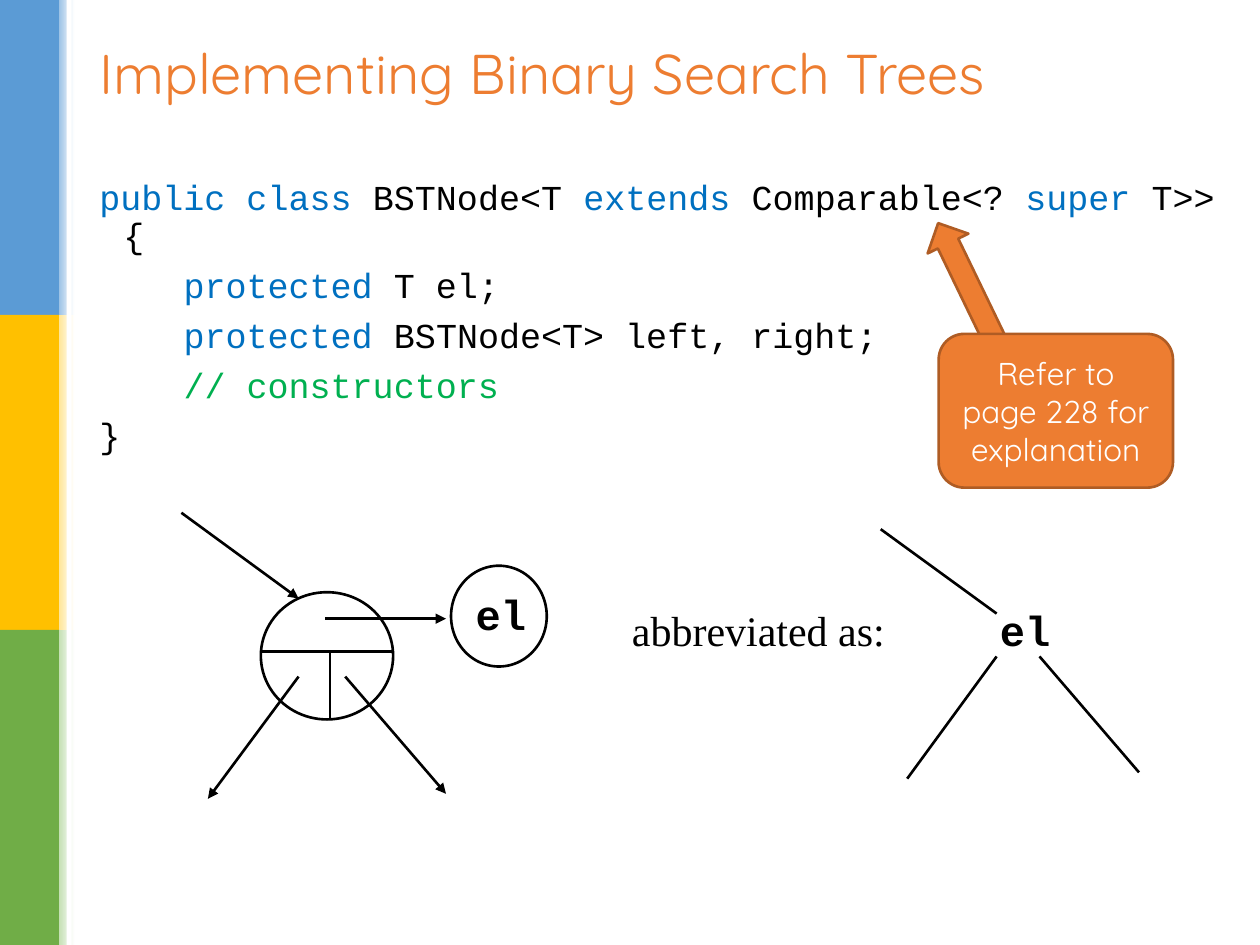
from dataclasses import dataclass

from lxml import etree
from pptx import Presentation
from pptx.dml.color import RGBColor
from pptx.enum.shapes import MSO_CONNECTOR, MSO_SHAPE
from pptx.enum.text import MSO_ANCHOR, PP_ALIGN
from pptx.oxml.ns import qn
from pptx.util import Inches, Pt

RECTANGLE, ELLIPSE = MSO_SHAPE.RECTANGLE, MSO_SHAPE.OVAL
DOWN_ARROW, ROUNDED = MSO_SHAPE.DOWN_ARROW, MSO_SHAPE.ROUNDED_RECTANGLE
STRAIGHT = MSO_CONNECTOR.STRAIGHT
LEFT, CENTER = PP_ALIGN.LEFT, PP_ALIGN.CENTER
TOP, MIDDLE = MSO_ANCHOR.TOP, MSO_ANCHOR.MIDDLE

BLACK, WHITE = RGBColor(0, 0, 0), RGBColor(255, 255, 255)
BLUE, LIGHT_BLUE = RGBColor(0x5B, 0x9B, 0xD5), RGBColor(0x9D, 0xC3, 0xE6)
GOLD, LIGHT_GOLD = RGBColor(0xFF, 0xC0, 0x00), RGBColor(0xFF, 0xE6, 0x99)
GREEN, LIGHT_GREEN = RGBColor(0x70, 0xAD, 0x47), RGBColor(0xC5, 0xE0, 0xB4)
ORANGE, DARK_ORANGE = RGBColor(0xED, 0x7D, 0x31), RGBColor(0xAF, 0x5C, 0x24)
KEYWORD, COMMENT = RGBColor(0x00, 0x70, 0xC0), RGBColor(0x00, 0xB0, 0x50)

SANS, MONO, SERIF = "Quicksand", "Courier New", "Times New Roman"
WIDTH, HEIGHT = Inches(10), Inches(7.5)
COLUMNS, ROWS = 100, 75
LINE_WIDTH = Pt(1.5)


@dataclass(frozen=True)
class Box:
    """A rectangle in grid columns and rows."""
    column: float
    row: float
    columns: float
    rows: float

    def lengths(self) -> tuple:
        return (across(self.column), down(self.row),
                across(self.columns), down(self.rows))


@dataclass(frozen=True)
class Edge:
    """A straight line between two (column, row) points."""
    start: tuple
    end: tuple
    arrow: bool = False


@dataclass(frozen=True)
class Label:
    text: str
    box: Box
    font: str = MONO
    bold: bool = True


BANDS = [(BLUE, LIGHT_BLUE), (GOLD, LIGHT_GOLD), (GREEN, LIGHT_GREEN)]
CODE = [
    [("public class ", KEYWORD), ("BSTNode<T ", BLACK), ("extends", KEYWORD),
     (" Comparable<? ", BLACK), ("super", KEYWORD), (" T>> {", BLACK)],
    [("    ", BLACK), ("protected", KEYWORD), (" T el;", BLACK)],
    [("    ", BLACK), ("protected ", KEYWORD), ("BSTNode<T> left, right;", BLACK)],
    [("    ", BLACK), ("// constructors", COMMENT)],
    [("}", BLACK)],
]
NODE = Box(20.7, 47, 10.5, 10.1)
ELEMENT = Box(35.8, 44.9, 7.6, 8)
EDGES = [
    Edge((20.7, 51.7), (31.2, 51.7)),
    Edge((26.2, 51.7), (26.2, 57.1)),
    Edge((14.4, 40.7), (23.7, 47.5), arrow=True),
    Edge((27.4, 53.7), (35.4, 63), arrow=True),
    Edge((23.7, 53.7), (16.5, 63.4), arrow=True),
    Edge((25.8, 49.1), (35.4, 49.1), arrow=True),
    Edge((69.9, 42), (79.1, 48.7)),
    Edge((79.1, 52.1), (72, 61.8)),
    Edge((82.5, 52.1), (90.4, 61.3)),
]
LABELS = [
    Label("el", Box(35.8, 46.2, 7.9, 5)),
    Label("el", Box(77.4, 47.5, 7.9, 5)),
    Label("abbreviated as:", Box(47.6, 47.5, 25.2, 5), SERIF, False),
]


def across(columns: float) -> int:
    return round(WIDTH * columns / COLUMNS)


def down(rows: float) -> int:
    return round(HEIGHT * rows / ROWS)


def write(shape, lines: list, *, font: str, size: float, bold: bool = False,
          align=LEFT, anchor=TOP, spacing: float = 1.0, before: float = 0,
          hanging: float = 0) -> None:
    """Fill a shape with lines, each a list of (text, colour) runs."""
    frame = shape.text_frame
    frame.word_wrap = True
    frame.vertical_anchor = anchor
    for index, line in enumerate(lines):
        paragraph = frame.add_paragraph() if index else frame.paragraphs[0]
        paragraph.alignment = align
        paragraph.line_spacing = spacing
        if index:
            paragraph.space_before = Pt(before)
        if hanging:
            properties = paragraph._p.get_or_add_pPr()
            properties.set("marL", str(across(hanging)))
            properties.set("indent", str(-across(hanging)))
        for text, color in line:
            run = paragraph.add_run()
            run.text = text
            run.font.name = font
            run.font.size = Pt(size)
            run.font.bold = bold
            run.font.color.rgb = color


def add_text(slide, box: Box, lines: list, **style) -> None:
    write(slide.shapes.add_textbox(*box.lengths()), lines, **style)


def add_figure(slide, kind, box: Box, fill=None, line=None):
    shape = slide.shapes.add_shape(kind, *box.lengths())
    shape.shadow.inherit = False
    if fill is None:
        shape.fill.background()
    else:
        shape.fill.solid()
        shape.fill.fore_color.rgb = fill
    if line is None:
        shape.line.fill.background()
    else:
        shape.line.color.rgb = line
        shape.line.width = LINE_WIDTH
    return shape


def add_edge(slide, edge: Edge) -> None:
    (x1, y1), (x2, y2) = edge.start, edge.end
    connector = slide.shapes.add_connector(
        STRAIGHT, across(x1), down(y1), across(x2), down(y2))
    connector.line.color.rgb = BLACK
    connector.line.width = LINE_WIDTH
    if edge.arrow:
        outline = connector.line._get_or_add_ln()
        etree.SubElement(outline, qn("a:tailEnd"), type="triangle")
    etree.SubElement(connector._element.spPr, qn("a:effectLst"))


def add_side_bands(slide) -> None:
    rows = ROWS / len(BANDS)
    for index, (color, tint) in enumerate(BANDS):
        add_figure(slide, RECTANGLE, Box(0, index * rows, 4.7, rows), color)
        fade = add_figure(slide, RECTANGLE, Box(4.7, index * rows, 1.2, rows), tint)
        fade.fill.gradient()
        fade.fill.gradient_angle = 0
        for stop, stop_color in zip(fade.fill.gradient_stops, (tint, WHITE)):
            stop.color.rgb = stop_color
    add_figure(slide, RECTANGLE, Box(5.3, 0, 0.4, ROWS), WHITE)


def add_callout(slide) -> None:
    arrow = add_figure(slide, DOWN_ARROW, Box(76.2, 16.9, 3.6, 16.3),
                       ORANGE, DARK_ORANGE)
    arrow.rotation = 154.2
    note = add_figure(slide, ROUNDED, Box(74.5, 26.5, 18.6, 12.2),
                      ORANGE, DARK_ORANGE)
    write(note, [[("Refer to page 228 for explanation", WHITE)]],
          font=SANS, size=18, align=CENTER, anchor=MIDDLE)


def main() -> None:
    presentation = Presentation()
    presentation.slide_width, presentation.slide_height = WIDTH, HEIGHT
    slide = presentation.slides.add_slide(presentation.slide_layouts[6])
    add_side_bands(slide)
    add_text(slide, Box(6.9, 2.5, 86.2, 7.1),
             [[("Implementing Binary Search Trees", ORANGE)]],
             font=SANS, size=32, anchor=MIDDLE, spacing=0.9)
    add_text(slide, Box(6.9, 13.8, 90.8, 20.2), CODE, font=MONO, size=20,
             spacing=0.9, before=7, hanging=1.9)
    for circle in (NODE, ELEMENT):
        add_figure(slide, ELLIPSE, circle, line=BLACK)
    for edge in EDGES:
        add_edge(slide, edge)
    for label in LABELS:
        add_text(slide, label.box, [[(label.text, BLACK)]], font=label.font,
                 size=24, bold=label.bold, align=CENTER)
    add_callout(slide)
    presentation.save("out.pptx")


if __name__ == "__main__":
    main()
